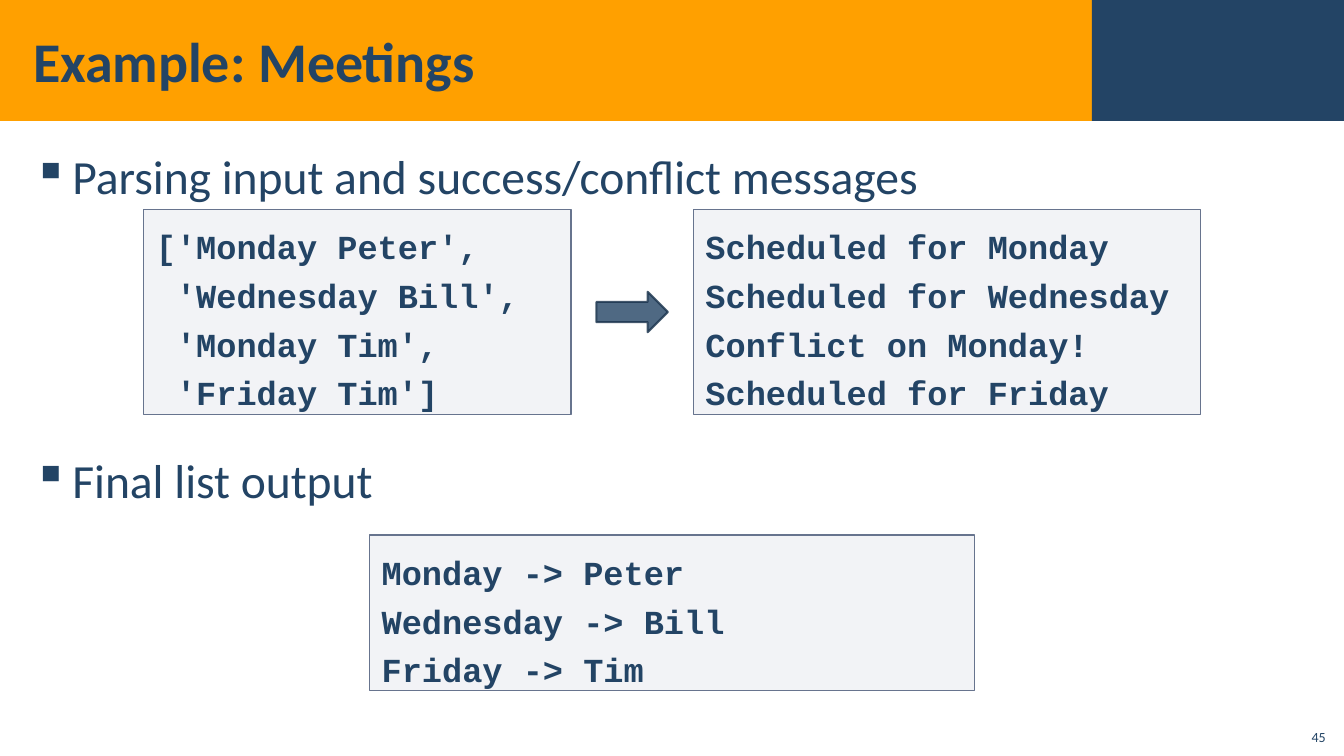
from lxml import etree
from pptx import Presentation
from pptx import util as u
from pptx.dml import color
from pptx.enum import shapes, text
from pptx.oxml import ns

COLORS = {
    "orange": "FFA000",
    "navy": "234465",
    "panel": "ADB4C3",
    "panel_edge": "67748E",
    "arrow_edge": "1A334C",
}
BODY_FONT = "Calibri"
CODE_FONT = "Courier New"
WIDTH, HEIGHT = 960, 540
BANNER_HEIGHT = 86.4


def rgb(name):
    return color.RGBColor.from_string(COLORS[name])


def set_opacity(paint, percent):
    for srgb in paint.iter(ns.qn("a:srgbClr")):
        alpha = etree.SubElement(srgb, ns.qn("a:alpha"))
        alpha.set("val", str(percent * 1000))


def add_block(slide, preset, box, fill, opacity=100, edge=None, edge_width=1):
    block = slide.shapes.add_shape(preset, *map(u.Pt, box))
    block.shadow.inherit = False
    block.fill.solid()
    block.fill.fore_color.rgb = rgb(fill)
    if opacity < 100:
        set_opacity(block._element.spPr.find(ns.qn("a:solidFill")), opacity)
    if edge:
        block.line.color.rgb = rgb(edge)
        block.line.width = u.Pt(edge_width)
    else:
        block.line.fill.background()
    return block


def set_frame(frame, anchor, side, top, bottom):
    frame.word_wrap = True
    frame.vertical_anchor = anchor
    frame.margin_left = frame.margin_right = u.Pt(side)
    frame.margin_top, frame.margin_bottom = u.Pt(top), u.Pt(bottom)
    return frame


def add_textbox(slide, box, anchor, side=8.64, top=2.88, bottom=2.88):
    holder = slide.shapes.add_textbox(*map(u.Pt, box))
    return set_frame(holder.text_frame, anchor, side, top, bottom)


def add_words(paragraph, words, size, font=BODY_FONT, bold=False):
    run = paragraph.add_run()
    run.text = words
    run.font.name = font
    run.font.size = u.Pt(size)
    run.font.bold = bold
    run.font.color.rgb = rgb("navy")


def next_paragraph(frame, index):
    return frame.add_paragraph() if index else frame.paragraphs[0]


def banner(slide, box, title):
    left, top, width, height = box
    corner_width = 180
    title_width = width - corner_width
    rectangle = shapes.MSO_SHAPE.RECTANGLE
    add_block(slide, rectangle, box, "orange")
    add_block(slide, rectangle,
              (left + title_width, top, corner_width, height), "navy")
    heading = add_textbox(slide, (left + 15, top + 8, title_width - 15, height - 16),
                          text.MSO_ANCHOR.MIDDLE)
    add_words(heading.paragraphs[0], title, 40, bold=True)


def bullet_list(slide, box, points, gap):
    frame = add_textbox(slide, box, text.MSO_ANCHOR.TOP, top=8.88)
    for index, point in enumerate(points):
        paragraph = next_paragraph(frame, index)
        properties = paragraph._p.get_or_add_pPr()
        properties.set("marL", str(u.Pt(28)))
        properties.set("indent", str(-u.Pt(28)))
        bullet = etree.SubElement(properties, ns.qn("a:buChar"))
        bullet.set("char", "▪")
        paragraph.line_spacing = 1.05
        paragraph.space_after = u.Pt(6)
        if index:
            paragraph.space_before = u.Pt(gap)
        add_words(paragraph, point, 34)


def code_panel(slide, box, lines):
    panel = add_block(slide, shapes.MSO_SHAPE.RECTANGLE, box,
                      "panel", 15, "panel_edge")
    frame = set_frame(panel.text_frame, text.MSO_ANCHOR.TOP, 8.64, 11.76, 5.76)
    for index, line in enumerate(lines):
        paragraph = next_paragraph(frame, index)
        paragraph.alignment = text.PP_ALIGN.LEFT
        if index:
            paragraph.space_before = u.Pt(6)
        add_words(paragraph, line, 24, CODE_FONT, True)


def parsing_example(slide, box, meetings, messages):
    left, top, width, height = box
    input_width, output_width = 305.3, 362.2
    code_panel(slide, (left, top, input_width, height), meetings)
    arrow = add_block(slide, shapes.MSO_SHAPE.RIGHT_ARROW,
                      (left + input_width + 18, top + (height - 28.8) / 2, 51, 28.8),
                      "navy", 80, "arrow_edge", 1.5)
    set_opacity(arrow.line._ln, 80)
    code_panel(slide, (left + width - output_width, top, output_width, height),
               messages)


def page_number(slide, box, number):
    frame = add_textbox(slide, box, text.MSO_ANCHOR.BOTTOM, 7.2, 3.6, 3.6)
    frame.paragraphs[0].alignment = text.PP_ALIGN.RIGHT
    add_words(frame.paragraphs[0], number, 10)


def main():
    deck = Presentation()
    deck.slide_width, deck.slide_height = u.Pt(WIDTH), u.Pt(HEIGHT)
    slide = deck.slides.add_slide(deck.slide_layouts[6])
    banner(slide, (0, 0, WIDTH, BANNER_HEIGHT), "Example: Meetings")
    page_number(slide, (925, 512.6, 29, 23), "45")
    bullet_list(slide, (15, 94.3, WIDTH - 30, 435.6),
                ["Parsing input and success/conflict messages", "Final list output"],
                168)
    parsing_example(slide, (102.7, 149.8, 754.8, 146.2),
                    ["['Monday Peter',", " 'Wednesday Bill',",
                     " 'Monday Tim',", " 'Friday Tim']"],
                    ["Scheduled for Monday", "Scheduled for Wednesday",
                     "Conflict on Monday!", "Scheduled for Friday"])
    code_panel(slide, ((WIDTH - 432) / 2, 382.3, 432, 110.9),
               ["Monday -> Peter", "Wednesday -> Bill", "Friday -> Tim"])
    deck.save("out.pptx")


if __name__ == "__main__":
    main()
